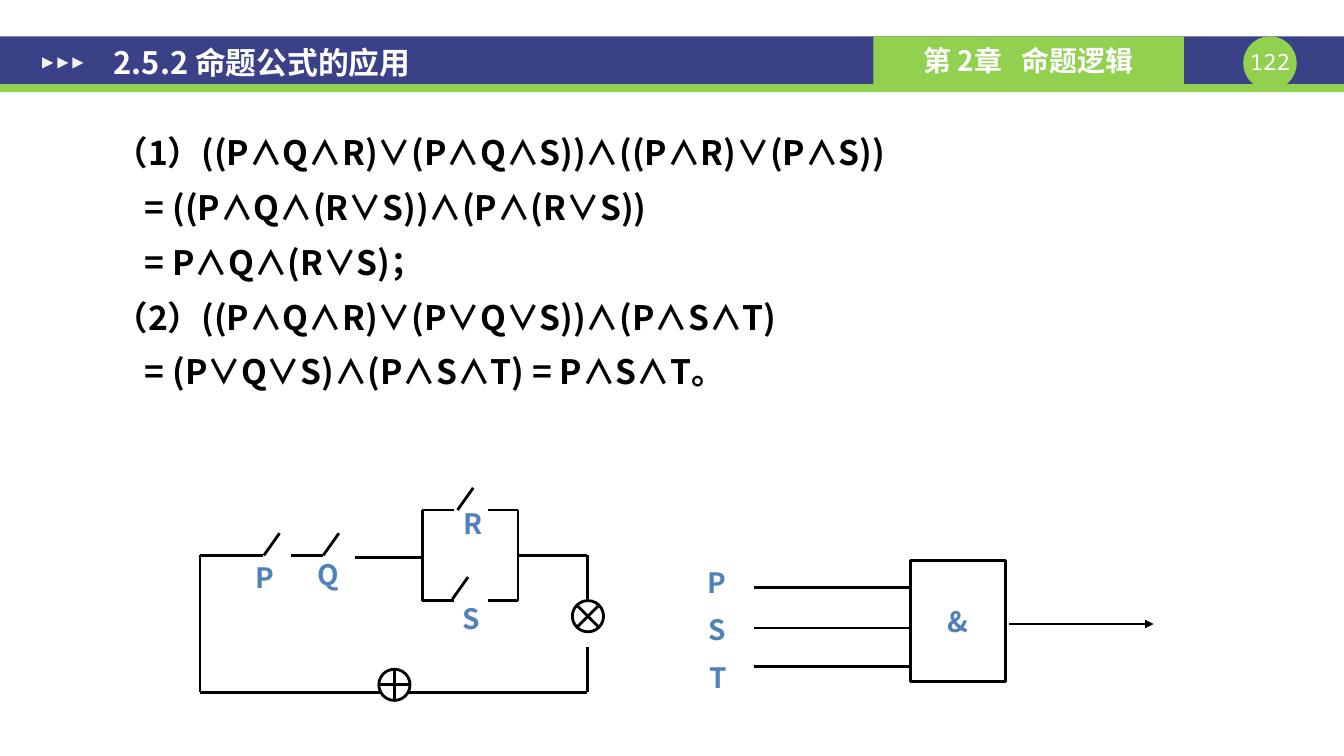
from dataclasses import dataclass

from lxml import etree
from pptx import Presentation
from pptx.dml.color import RGBColor
from pptx.enum import shapes, text
from pptx.oxml.ns import qn
from pptx.util import Pt

SHAPE, ALIGN, ANCHOR = shapes.MSO_SHAPE, text.PP_ALIGN, text.MSO_ANCHOR


@dataclass(frozen=True)
class Theme:
    font: str = "Noto Sans CJK SC"
    mono: str = "Noto Sans Mono"
    navy: str = "3A4187"
    green: str = "92D050"
    pale: str = "F2F2F2"
    white: str = "FFFFFF"
    black: str = "000000"
    blue: str = "4F81BD"
    title: int = 22
    body: int = 24
    label: int = 20
    number: int = 16
    line: int = 2


T = Theme()
INSET = dict(margin_left=Pt(9.36), margin_right=Pt(9.36),
             margin_top=Pt(5.04), margin_bottom=Pt(5.04))
NO_INSET = dict.fromkeys(INSET, 0)

FORMULAS = [  # text, left indent in points
    ("（1）((P∧Q∧R)∨(P∧Q∧S))∧((P∧R)∨(P∧S))", 5.4),
    ("= ((P∧Q∧(R∨S))∧(P∧(R∨S))", 27.2),
    ("= P∧Q∧(R∨S)；", 27.2),
    ("（2）((P∧Q∧R)∨(P∨Q∨S))∧(P∧S∧T)", 5.4),
    ("= (P∨Q∨S)∧(P∧S∧T) = P∧S∧T。", 27.2),
]

# Circuit grid: main wire, parallel branches and return wire
LEFT, FORK, JOIN, RIGHT = 143, 301.8, 370.2, 419.8
MAIN, UPPER, LOWER, RETURN = 396.7, 364.3, 429, 494.6
BLADE = (11.2, -15.8)
SYMBOL = 22.3
WIRES = [
    (LEFT, MAIN, 188, MAIN), (208, MAIN, 230.5, MAIN),
    (253.5, 398, FORK, 398), (JOIN, MAIN, RIGHT, MAIN),
    (FORK, UPPER, 324.7, UPPER), (349, UPPER, JOIN, UPPER),
    (FORK, LOWER, 324.7, LOWER), (348.5, LOWER, JOIN, LOWER),
    (FORK, UPPER, FORK, LOWER), (JOIN, UPPER, JOIN, LOWER),
    (RIGHT, MAIN, RIGHT, LOWER), (RIGHT, 462, RIGHT, RETURN),
    (LEFT, RETURN, RIGHT, RETURN), (LEFT, MAIN, LEFT, RETURN),
]
SWITCHES = [  # name, hinge, label corner
    ("P", (188.6, MAIN), (175.7, 396.7)),
    ("Q", (231, MAIN), (219.6, 394.6)),
    ("R", (327, UPPER), (324, 358.6)),
    ("S", (323.3, LOWER - 1), (323.3, 426.2)),
]


def set_all(obj, values):
    for name, value in values.items():
        setattr(obj, name, value)


def write(p, words, size, color, bold=True, font=T.font):
    r = p.add_run()
    r.text = words
    set_all(r.font, dict(size=Pt(size), bold=bold, name=font))
    r.font.color.rgb = RGBColor.from_string(color)
    etree.SubElement(r.font._element, qn("a:ea"), typeface=font)
    return r


def add_box(s, kind, x, y, w, h, fill, line=None):
    sp = s.shapes.add_shape(kind, Pt(x), Pt(y), Pt(w), Pt(h))
    sp.shadow.inherit = False
    sp.fill.solid()
    sp.fill.fore_color.rgb = RGBColor.from_string(fill)
    if line:
        sp.line.color.rgb = RGBColor.from_string(line)
        sp.line.width = Pt(T.line)
    else:
        sp.line.fill.background()
    return sp


def add_text(s, x, y, w, h, **frame):
    """Add a text box and return its text frame."""
    tf = s.shapes.add_textbox(Pt(x), Pt(y), Pt(w), Pt(h)).text_frame
    set_all(tf, dict(word_wrap=True, **frame))
    return tf


def add_label(s, words, x, y):
    write(add_text(s, x, y, 45, 36).paragraphs[0], words, T.label, T.blue)


def add_wire(s, x1, y1, x2, y2, arrow=False):
    c = s.shapes.add_connector(shapes.MSO_CONNECTOR.STRAIGHT,
                               Pt(x1), Pt(y1), Pt(x2), Pt(y2))
    c.line.color.rgb = RGBColor.from_string(T.black)
    c.line.width = Pt(T.line)
    if arrow:
        etree.SubElement(c.line._get_or_add_ln(), qn("a:tailEnd"), type="triangle")
    etree.SubElement(c._element.spPr, qn("a:effectLst"))


def add_header(s):
    add_box(s, SHAPE.RECTANGLE, 0, 26, 960.5, 34, T.navy)
    add_box(s, SHAPE.RECTANGLE, 0, 60, 960.5, 5.8, T.green)
    add_box(s, SHAPE.OVAL, 888.5, 26, 38.2, 38.2, T.green)
    p = add_text(s, 888.5, 34.6, 38.2, 19.4, **NO_INSET).paragraphs[0]
    p.alignment = ALIGN.CENTER
    write(p, "122", T.number, T.white, False, T.mono)

    chapter = add_box(s, SHAPE.RECTANGLE, 624.2, 26, 221.8, 34, T.green)
    p = chapter.text_frame.paragraphs[0]
    p.alignment = ALIGN.CENTER
    write(p, "第 2章", T.label, T.white)
    gap = write(p, " ", T.label, T.white)
    gap.font._element.set("spc", "900")
    write(p, "命题逻辑", T.label, T.white)

    for i in range(3):
        mark = add_box(s, SHAPE.ISOSCELES_TRIANGLE, 30.2 + 10.8 * i, 41, 7.9, 7.9, T.pale)
        mark.rotation = 90


def add_title(s, words):
    sp = s.shapes.title
    set_all(sp, dict(left=Pt(72), top=Pt(7.9), width=Pt(635), height=Pt(72.7)))
    tf = sp.text_frame
    set_all(tf, dict(INSET, vertical_anchor=ANCHOR.MIDDLE, auto_size=text.MSO_AUTO_SIZE.NONE))
    p = tf.paragraphs[0]
    p.alignment = ALIGN.LEFT
    write(p, words, T.title, T.white)
    sp._element.getparent().append(sp._element)  # above the header bar


def add_formulas(s):
    tf = add_text(s, 67, 79, 800.6, 257.8, **INSET)
    for i, (words, indent) in enumerate(FORMULAS):
        p = tf.add_paragraph() if i else tf.paragraphs[0]
        p.line_spacing = 1.36
        p._p.get_or_add_pPr().set("marL", str(Pt(indent)))
        write(p, words, T.body, T.black)


def add_circuit(s):
    for name, (x, y), corner in SWITCHES:
        add_label(s, name, *corner)
        add_wire(s, x, y, x + BLADE[0], y + BLADE[1])
    for wire in WIRES:
        add_wire(s, *wire)
    for kind, x, y in ((SHAPE.FLOWCHART_SUMMING_JUNCTION, 409, LOWER),
                       (SHAPE.FLOWCHART_OR, 270.7, 478)):
        add_box(s, kind, x, y, SYMBOL, SYMBOL, T.white, T.black)


def add_and_gate(s):
    for i, (name, y) in enumerate(zip("PST", (419.8, 448.6, 476))):
        add_label(s, name, 498.5 + 0.6 * i, 400.3 + 33.9 * i)
        add_wire(s, 538.6, y, 650.9, y)
    gate = add_box(s, SHAPE.RECTANGLE, 650.9, 400.3, 67.7, 86.4, T.white, T.black)
    p = gate.text_frame.paragraphs[0]
    p.alignment = ALIGN.CENTER
    write(p, "&", T.label, T.blue)
    add_wire(s, 721.4, 445.7, 824.4, 445.7, arrow=True)


def main():
    prs = Presentation()
    set_all(prs, dict(slide_width=Pt(960.5), slide_height=Pt(540)))
    s = prs.slides.add_slide(prs.slide_layouts[5])
    add_header(s)
    add_title(s, "2.5.2 命题公式的应用")
    add_formulas(s)
    add_circuit(s)
    add_and_gate(s)
    prs.save("out.pptx")


if __name__ == "__main__":
    main()
